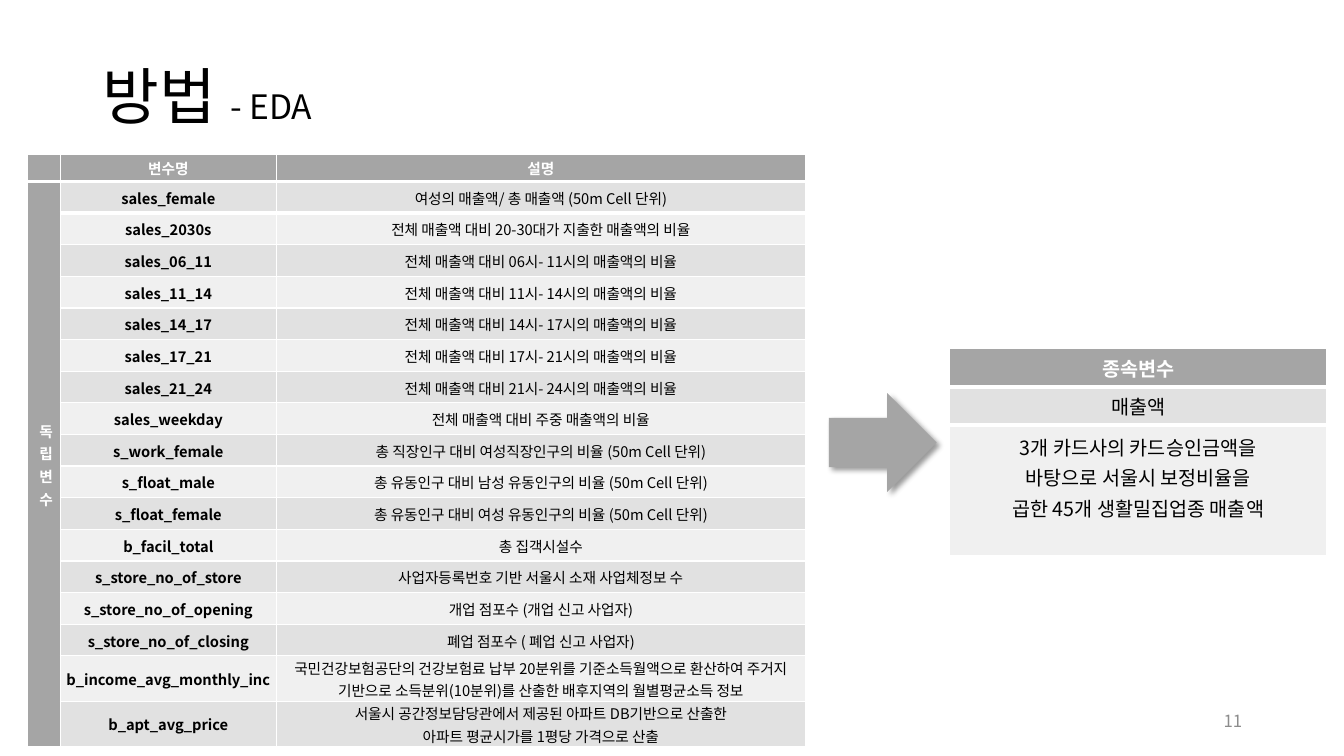
from dataclasses import dataclass

from lxml import etree
from pptx import Presentation
from pptx.dml.color import RGBColor
from pptx.enum import shapes, text
from pptx.oxml import ns, parse_xml
from pptx.util import Inches, Pt


@dataclass(frozen=True)
class Theme:
    font: str = "Noto Sans CJK KR"
    black: str = "000000"
    white: str = "FFFFFF"
    gray: str = "A5A5A5"
    dark: str = "E1E1E1"
    light: str = "F0F0F0"
    muted: str = "8C8C8C"
    title: float = 44
    sub: float = 24
    body: float = 14
    page: float = 12
    small: float = 10.5


T = Theme()
LEFT, MID, RIGHT = text.PP_ALIGN.LEFT, text.PP_ALIGN.CENTER, text.PP_ALIGN.RIGHT
TOP, CENTER = text.MSO_ANCHOR.TOP, text.MSO_ANCHOR.MIDDLE

HEAD = ("", "변수명", "설명")
HOURS = [("06", "11"), ("11", "14"), ("14", "17"), ("17", "21"), ("21", "24")]
ROWS = [
    ("sales_female", "여성의 매출액/ 총 매출액 (50m Cell 단위)"),
    ("sales_2030s", "전체 매출액 대비 20-30대가 지출한 매출액의 비율"),
    *[(f"sales_{a}_{b}", f"전체 매출액 대비 {a}시- {b}시의 매출액의 비율") for a, b in HOURS],
    ("sales_weekday", "전체 매출액 대비 주중 매출액의 비율"),
    ("s_work_female", "총 직장인구 대비 여성직장인구의 비율 (50m Cell 단위)"),
    ("s_float_male", "총 유동인구 대비 남성 유동인구의 비율 (50m Cell 단위)"),
    ("s_float_female", "총 유동인구 대비 여성 유동인구의 비율 (50m Cell 단위)"),
    ("b_facil_total", "총 집객시설수"),
    ("s_store_no_of_store", "사업자등록번호 기반 서울시 소재 사업체정보 수"),
    ("s_store_no_of_opening", "개업 점포수 (개업 신고 사업자)"),
    ("s_store_no_of_closing", "폐업 점포수 ( 폐업 신고 사업자)"),
    ("b_income_avg_monthly_inc",
     "국민건강보험공단의 건강보험료 납부 20분위를 기준소득월액으로 환산하여 주거지 "
     "기반으로 소득분위(10분위)를 산출한 배후지역의 월별평균소득 정보"),
    ("b_apt_avg_price",
     "서울시 공간정보담당관에서 제공된 아파트 DB기반으로 산출한\n"
     "아파트 평균시가를 1평당 가격으로 산출"),
]
TALL = 2
SHORT = len(ROWS) - TALL
SALES = ["3개 카드사의 카드승인금액을", "바탕으로 서울시 보정비율을", "곱한 45개 생활밀집업종 매출액"]


def mark(parent, tag, size):
    etree.SubElement(parent, ns.qn(tag)).set("sz", str(int(size * 100)))


def write(par, words, size=T.small, color=T.black, bold=False, align=MID, gap=None):
    par.alignment = align
    par.line_spacing = gap
    if not words:
        mark(par._p, "a:endParaRPr", size)
        return
    for i, line in enumerate(words.split("\n")):
        if i:
            par.add_line_break()
            mark(par._p[-1], "a:rPr", size)
        run = par.add_run()
        run.text = line
        run.font.name = T.font
        run.font.size = Pt(size)
        run.font.bold = bold
        run.font.color.rgb = RGBColor.from_string(color)
        east = etree.SubElement(run.font._element, ns.qn("a:ea"))
        east.set("typeface", T.font)


def paint(item, color):
    item.fill.solid()
    item.fill.fore_color.rgb = RGBColor.from_string(color)


def edge(cell, side, width):
    cell._tc.get_or_add_tcPr().insert(0, parse_xml(
        f'<a:{side} {ns.nsdecls("a")} w="{Pt(width)}"><a:solidFill>'
        f'<a:srgbClr val="{T.white}"/></a:solidFill></a:{side}>'))


def put(cell, lines, fill, pad=None, anchor=CENTER, **form):
    paint(cell, fill)
    cell.vertical_anchor = anchor
    if pad:
        cell.margin_left = cell.margin_right = Inches(pad[0])
        cell.margin_top = cell.margin_bottom = Inches(pad[1])
    frame = cell.text_frame
    for i, line in enumerate(lines):
        write(frame.add_paragraph() if i else frame.paragraphs[0], line, **form)


def grid(slide, left, top, cols, rows):
    size = Inches(sum(cols)), Inches(sum(rows))
    table = slide.shapes.add_table(
        len(rows), len(cols), Inches(left), Inches(top), *size).table
    for i, width in enumerate(cols):
        table.columns[i].width = Inches(width)
        edge(table.cell(0, i), "lnB", 3)
        edge(table.cell(1, i), "lnT", 3)
    for row, height in zip(table.rows, rows):
        row.height = Inches(height)
    return table


def inputs(slide):
    rows = [0.27] + [4.71 / SHORT] * SHORT + [0.45] * TALL
    table = grid(slide, 0.27, 1.53, [0.33, 2.14, 5.25], rows)
    slim = dict(pad=(0.06, 0), gap=1.07)
    tight = dict(slim, pad=(0.03, 0))
    for i, name in enumerate(HEAD):
        put(table.cell(0, i), [name], T.gray, color=T.white, bold=True, **slim)
    for i, (name, note) in enumerate(ROWS, 1):
        fill = T.dark if i % 2 else T.light
        put(table.cell(i, 1), [name], fill, bold=True, **tight)
        put(table.cell(i, 2), [note], fill, **slim)
    side = table.cell(1, 0)
    side.merge(table.cell(len(ROWS), 0))
    put(side, ["독립변수"], T.gray, pad=(0.12, 0.06), gap=1.07, color=T.white, bold=True)


def output(slide):
    table = grid(slide, 9.42, 3.46, [3.74], [0.38, 0.38, 1.29])
    form = dict(size=T.body, anchor=TOP)
    put(table.cell(0, 0), ["종속변수"], T.gray, color=T.white, bold=True, **form)
    put(table.cell(1, 0), ["매출액"], T.dark, **form)
    put(table.cell(2, 0), SALES, T.light, gap=1.07, **form)


def arrow(slide):
    shape = slide.shapes.add_shape(
        shapes.MSO_SHAPE.RIGHT_ARROW, Inches(8.22), Inches(3.9), Inches(1.07), Inches(0.98))
    paint(shape, T.gray)
    shape.line.fill.background()
    shape._element.spPr.append(parse_xml(
        f'<a:effectLst {ns.nsdecls("a")}><a:outerShdw blurRad="{Pt(4)}" dist="{Pt(3)}" '
        f'dir="2700000" algn="tl" rotWithShape="0"><a:srgbClr val="{T.black}">'
        '<a:alpha val="40000"/></a:srgbClr></a:outerShdw></a:effectLst>'))


def title(slide):
    box = slide.shapes.title
    box.left, box.top, box.width, box.height = map(Inches, (0.92, 0.26, 11.5, 1.45))
    frame = box.text_frame
    frame.auto_size = text.MSO_AUTO_SIZE.NONE
    frame.vertical_anchor = CENTER
    par = frame.paragraphs[0]
    write(par, "방법 ", size=T.title, align=LEFT, gap=0.9)
    write(par, "- EDA", size=T.sub, align=LEFT, gap=0.9)


def page(slide):
    box = slide.shapes.add_textbox(Inches(9.42), Inches(6.95), Inches(3), Inches(0.4))
    frame = box.text_frame
    frame.word_wrap = True
    frame.vertical_anchor = CENTER
    write(frame.paragraphs[0], "11", size=T.page, color=T.muted, align=RIGHT)


def main():
    deck = Presentation()
    deck.slide_width, deck.slide_height = Inches(13.33), Inches(7.5)
    slide = deck.slides.add_slide(deck.slide_layouts[5])
    title(slide)
    page(slide)
    inputs(slide)
    arrow(slide)
    output(slide)
    deck.save("out.pptx")


if __name__ == "__main__":
    main()
